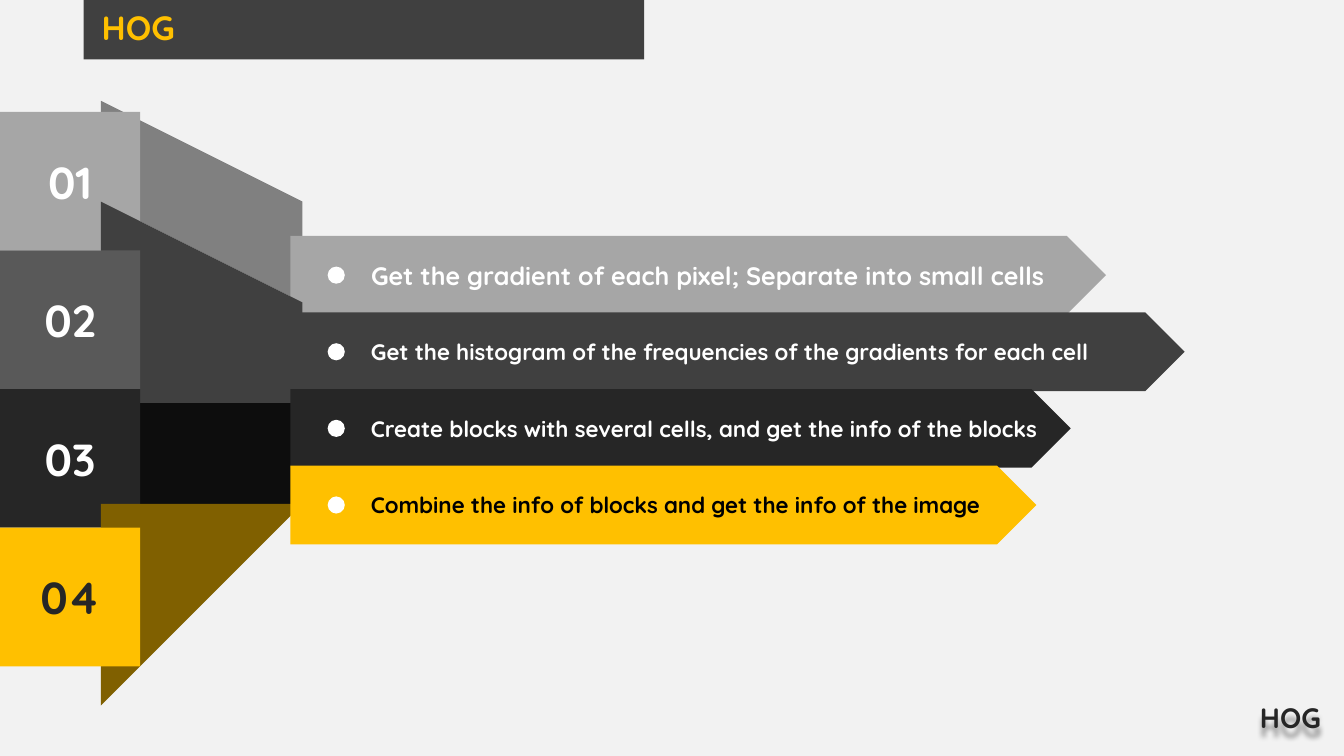
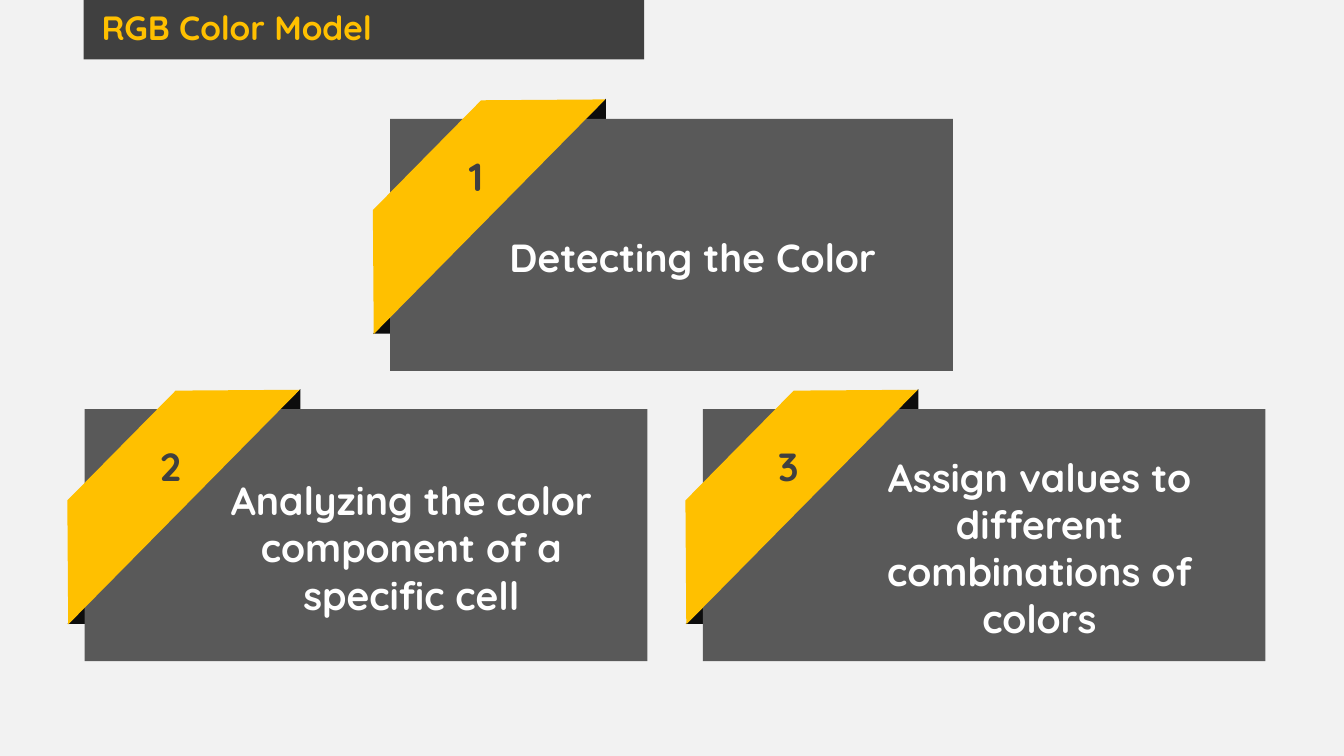
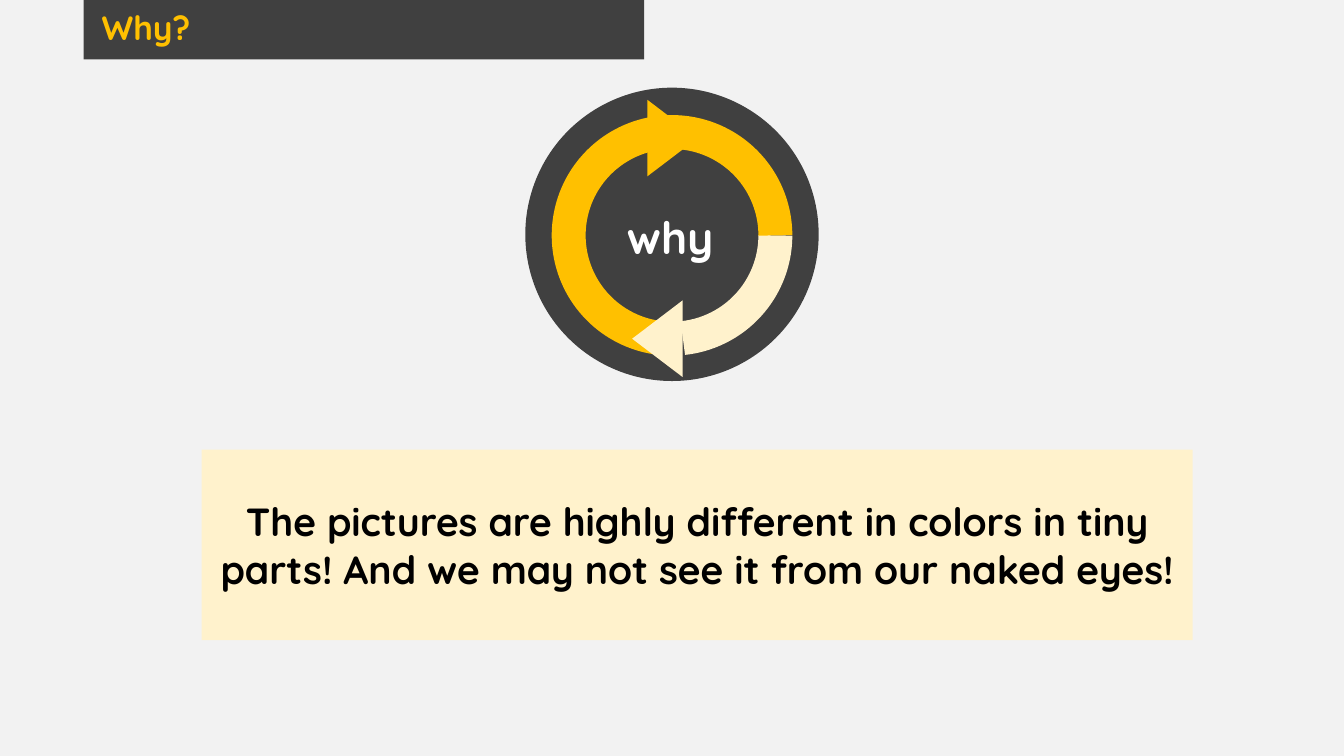
from lxml.etree import SubElement
from pptx import Presentation
from pptx.dml.color import RGBColor
from pptx.enum.shapes import MSO_SHAPE
from pptx.enum.text import MSO_ANCHOR, PP_ALIGN
from pptx.oxml.ns import qn
from pptx.util import Inches, Pt

FONT = "Quicksand"
BACKGROUND = RGBColor(0xF2, 0xF2, 0xF2)
WHITE = RGBColor(0xFF, 0xFF, 0xFF)
BLACK = RGBColor(0x00, 0x00, 0x00)
NEAR_BLACK = RGBColor(0x0D, 0x0D, 0x0D)
INK = RGBColor(0x26, 0x26, 0x26)
CHARCOAL = RGBColor(0x40, 0x40, 0x40)
SLATE = RGBColor(0x59, 0x59, 0x59)
GRAY = RGBColor(0x80, 0x80, 0x80)
SILVER = RGBColor(0xA6, 0xA6, 0xA6)
GOLD = RGBColor(0xFF, 0xC0, 0x00)
BROWN = RGBColor(0x80, 0x60, 0x00)
CREAM = RGBColor(0xFF, 0xF2, 0xCC)

STEPS = [
    ("Get the gradient of each pixel; Separate into small cells",
     18, 8.09, SILVER, GRAY, SILVER, WHITE, WHITE),
    ("Get the histogram of the frequencies of the gradients for each cell",
     16, 8.87, SLATE, CHARCOAL, CHARCOAL, WHITE, WHITE),
    ("Create blocks with several cells, and get the info of the blocks",
     16, 7.74, INK, NEAR_BLACK, INK, WHITE, WHITE),
    ("Combine the info of blocks and get the info of the image",
     16, 7.4, GOLD, BROWN, GOLD, INK, BLACK),
]
TAB_W, TAB_TOP, TAB_PITCH = 1.39, 1.11, 1.375
BAR_X, BAR_TOP, BAR_PITCH, BAR_H = 2.88, 2.34, 0.76, 0.78
DOT = 0.17

CARDS = [
    ("Detecting the Color", 3.87, 1.18, 3.0, 4.41),
    ("Analyzing the color component of a specific cell", 0.84, 4.06, 3.24, 4.41),
    ("Assign values to different combinations of colors", 6.97, 4.06, 3.34, 3.47),
]
CARD_W, CARD_H = 5.58, 2.5
FOLDS = [(-0.17, 1.93), (1.94, -0.2)]

RING = (5.64, 1.31, 2.05, 2.05)
ARCS = [(CREAM, 268, 84), (GOLD, 90, 264)]
HEADS = [(GOLD, 6.29, 1.12, 90), (CREAM, 6.14, 3.11, 270)]
ANSWER = ("The pictures are highly different in colors in tiny parts! "
          "And we may not see it from our naked eyes!")


def write(sp, text, size, color, align=PP_ALIGN.CENTER, anchor=MSO_ANCHOR.MIDDLE, wrap=True):
    tf = sp.text_frame
    tf.word_wrap = wrap
    tf.vertical_anchor = anchor
    p = tf.paragraphs[0]
    p.text = text
    p.alignment = align
    font = p.runs[0].font
    font.name, font.size, font.bold = FONT, Pt(size), True
    font.color.rgb = color
    return p


def paint(sp, color):
    sp.shadow.inherit = False
    sp.fill.solid()
    sp.fill.fore_color.rgb = color
    sp.line.fill.background()
    return sp


def shape(s, kind, x, y, w, h, color):
    return paint(s.shapes.add_shape(kind, Inches(x), Inches(y), Inches(w), Inches(h)), color)


def label(s, x, y, w, h, *args, **kwargs):
    sp = s.shapes.add_textbox(Inches(x), Inches(y), Inches(w), Inches(h))
    return sp, write(sp, *args, **kwargs)


def quad(s, points, color):
    builder = s.shapes.build_freeform(*points[0], scale=Inches(1))
    builder.add_line_segments(points[1:], close=True)
    return paint(builder.convert_to_shape(), color)


def add_slide(prs, title):
    s = prs.slides.add_slide(prs.slide_layouts[6])
    s.background.fill.solid()
    s.background.fill.fore_color.rgb = BACKGROUND
    shape(s, MSO_SHAPE.RECTANGLE, 0.83, 0, 5.56, 0.59, CHARCOAL)
    _, p = label(s, 0.91, 0.06, 5.4, 0.5, title, 24, GOLD, PP_ALIGN.LEFT, MSO_ANCHOR.TOP)
    p.line_spacing = 0.9
    return s


def add_shadow(sp):
    effects = SubElement(sp.element.spPr, qn("a:effectLst"))
    shadow = SubElement(effects, qn("a:outerShdw"), blurRad="50800", dist="76200", dir="5400000")
    color = SubElement(shadow, qn("a:srgbClr"), val="000000")
    SubElement(color, qn("a:alpha"), val="40000")


def build_steps(prs):
    s = add_slide(prs, "HOG")
    for i, (text, size, w, tab, fan, bar, number_color, text_color) in enumerate(STEPS):
        tab_y, bar_y = TAB_TOP + i * TAB_PITCH, BAR_TOP + i * BAR_PITCH
        quad(s, [(TAB_W, tab_y), (BAR_X, bar_y), (BAR_X, bar_y + BAR_PITCH),
                 (TAB_W, tab_y + TAB_PITCH)], fan)
        sp = shape(s, MSO_SHAPE.RECTANGLE, 0, tab_y, TAB_W, TAB_PITCH, tab)
        write(sp, f"{i + 1:02}", 32, number_color)
        sp = shape(s, MSO_SHAPE.PENTAGON, BAR_X, bar_y, w, BAR_H, bar)
        write(sp, text, size, text_color, PP_ALIGN.LEFT)
        sp.text_frame.margin_left = Inches(0.8)
        sp.text_frame.margin_right = 0
        shape(s, MSO_SHAPE.OVAL, 3.25, bar_y + (BAR_H - DOT) / 2, DOT, DOT, WHITE)
    sp, _ = label(s, 12.26, 6.9, 0.94, 0.44, "HOG", 20, INK, PP_ALIGN.RIGHT, wrap=False)
    add_shadow(sp)


def build_cards(prs):
    s = add_slide(prs, "RGB Color Model")
    for i, (text, x, y, center, w) in enumerate(CARDS, 1):
        for dx, dy in FOLDS:
            sp = shape(s, MSO_SHAPE.ISOSCELES_TRIANGLE, x + dx, y + dy, 0.2, 0.2, NEAR_BLACK)
            sp.adjustments[0] = 1
        shape(s, MSO_SHAPE.RECTANGLE, x, y, CARD_W, CARD_H, SLATE)
        ribbon = shape(s, MSO_SHAPE.TRAPEZOID, x - 0.96, y + 0.23, 3.27, 0.87, GOLD)
        ribbon.adjustments[0] = 1
        ribbon.rotation = 314.6
        label(s, x + 0.64, y + 0.28, 0.42, 0.57, str(i), 28, CHARCOAL, wrap=False)
        label(s, x + center - w / 2, y + 0.37, w, 2, text, 28, WHITE)


def build_why(prs):
    s = add_slide(prs, "Why?")
    shape(s, MSO_SHAPE.OVAL, 5.21, 0.87, 2.91, 2.91, CHARCOAL)
    for color, start, end in ARCS:
        arc = shape(s, MSO_SHAPE.ARC, *RING, color)
        arc.fill.background()
        arc.line.color.rgb = color
        arc.line.width = Pt(24.25)
        for k, angle in enumerate((start, end)):
            arc.adjustments[k] = (angle if angle <= 180 else angle - 360) * 0.6
    for color, x, y, angle in HEADS:
        shape(s, MSO_SHAPE.ISOSCELES_TRIANGLE, x, y, 0.76, 0.5, color).rotation = angle
    label(s, 6.1, 2.03, 1.09, 0.64, "why", 32, WHITE, wrap=False)
    answer = shape(s, MSO_SHAPE.RECTANGLE, 2, 4.46, 9.83, 1.89, CREAM)
    write(answer, ANSWER, 28, BLACK)


def main():
    prs = Presentation()
    prs.slide_width, prs.slide_height = Inches(13.33), Inches(7.5)
    build_steps(prs)
    build_cards(prs)
    build_why(prs)
    prs.save("out.pptx")


if __name__ == "__main__":
    main()
